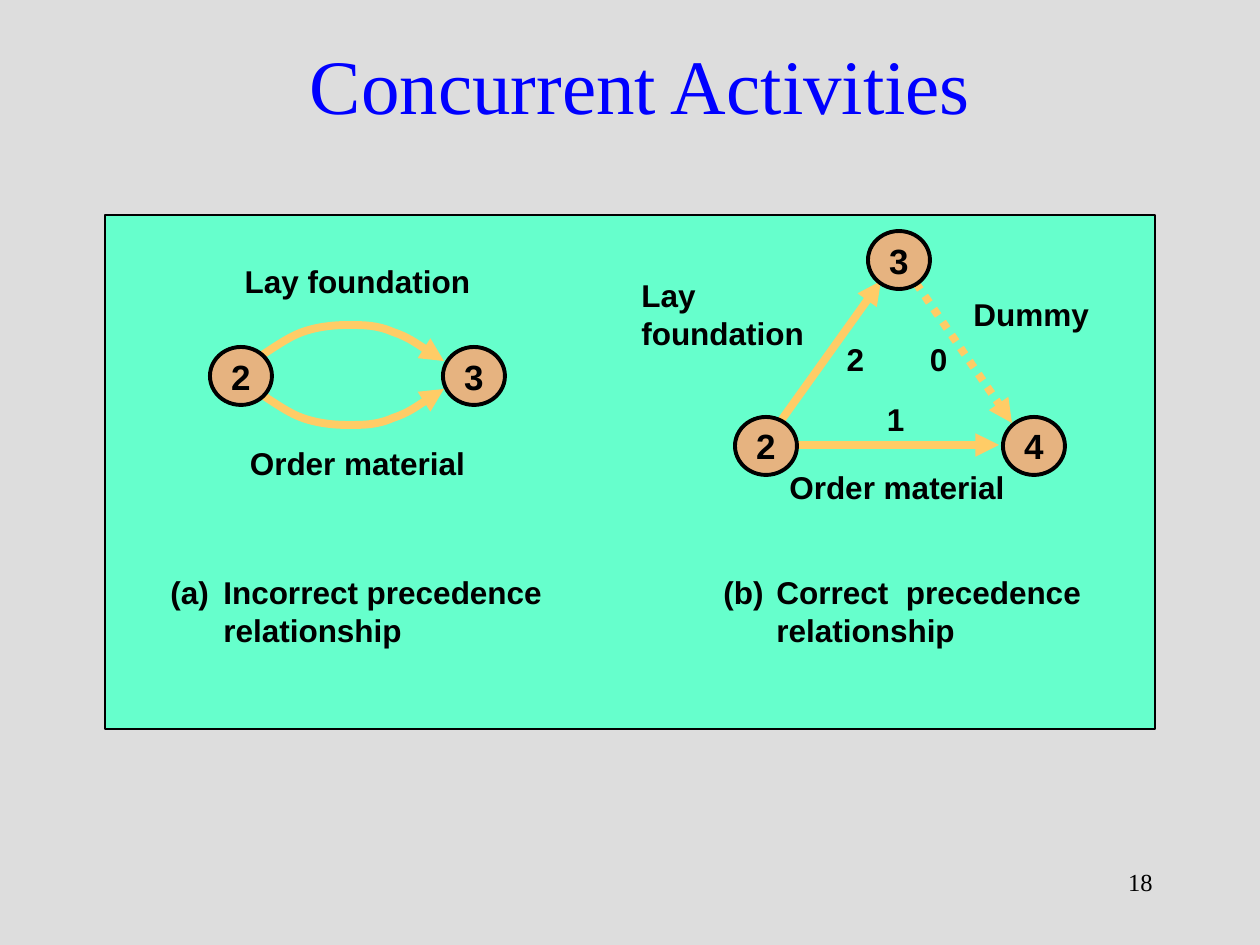
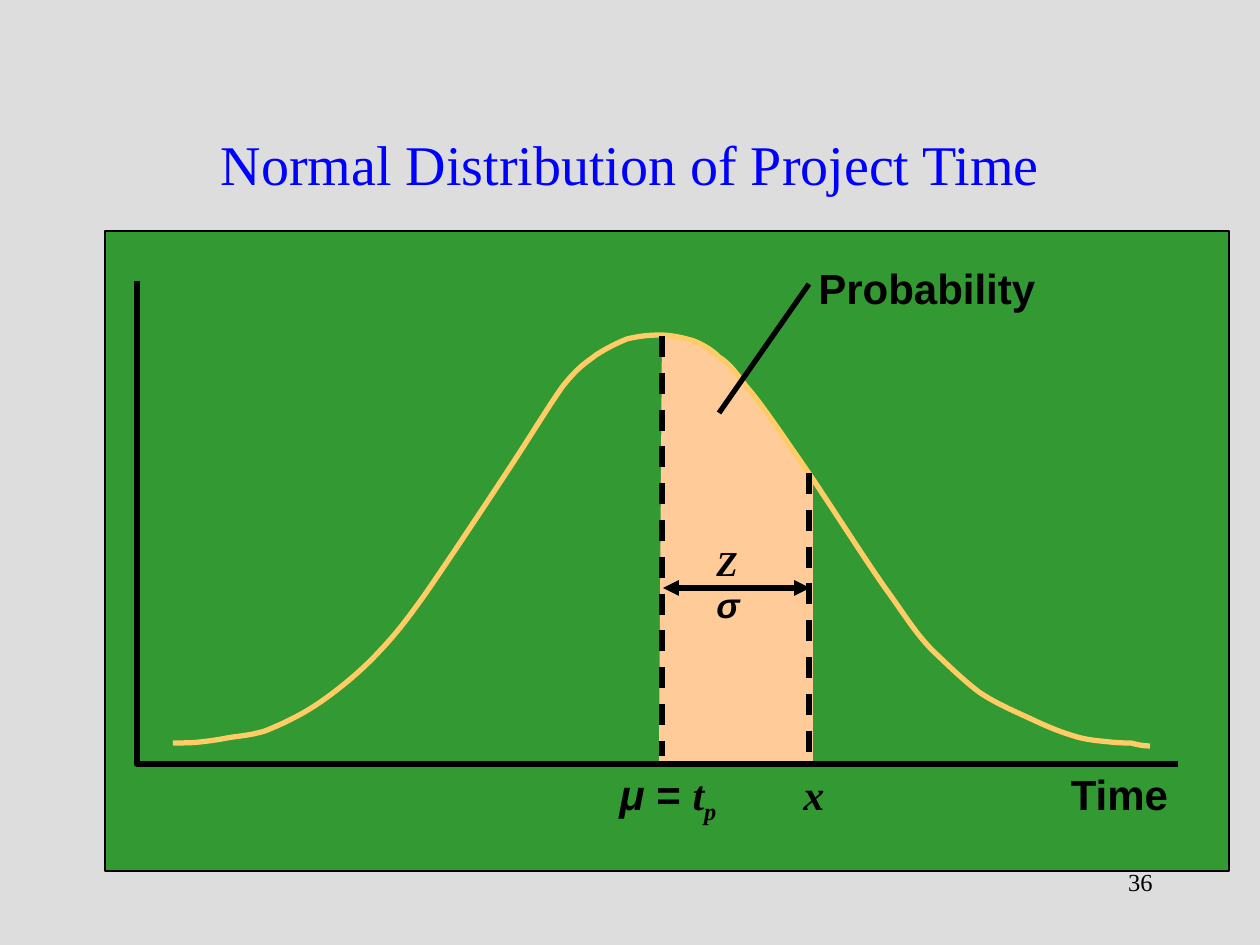
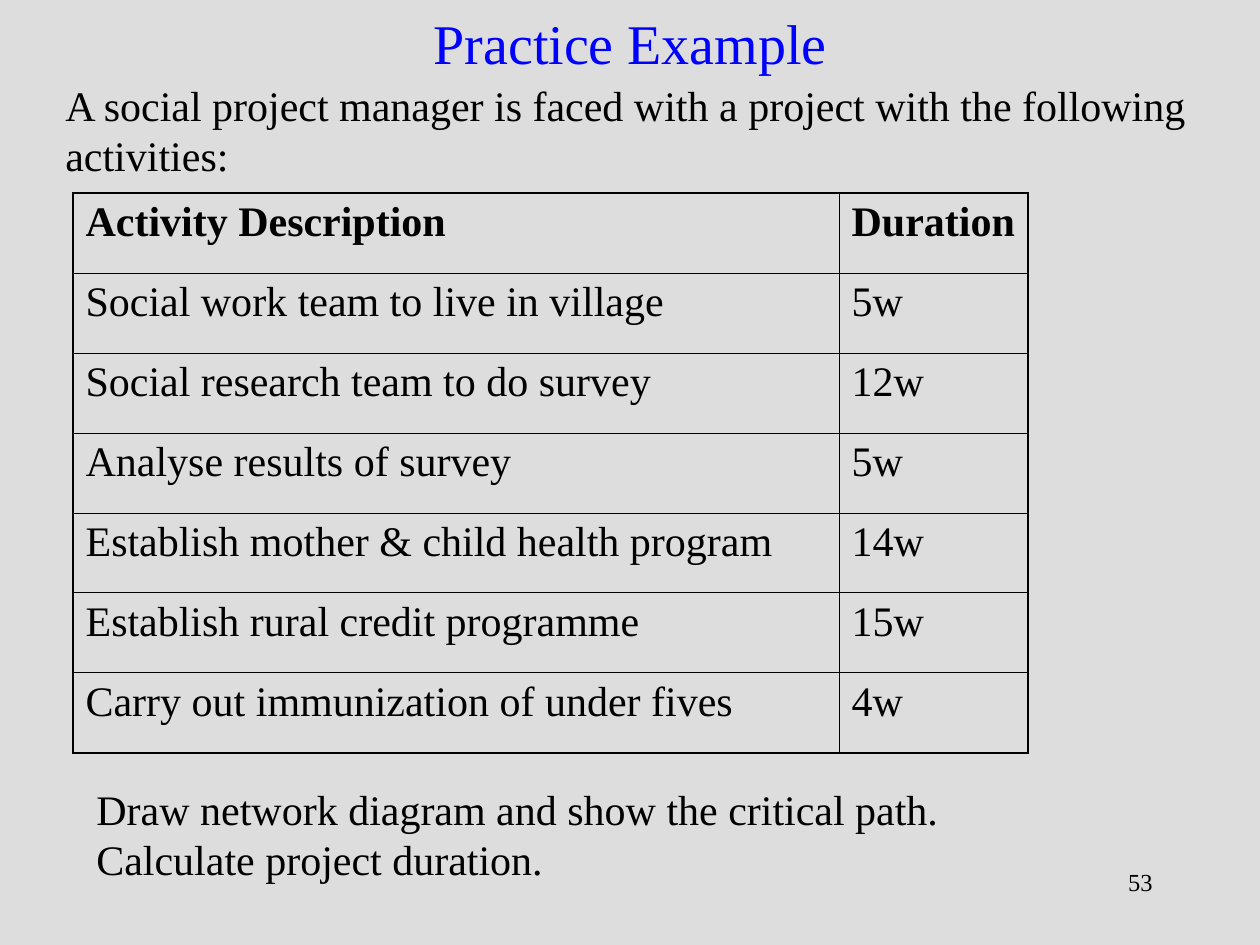
from lxml import etree
from pptx import Presentation
from pptx import util as u
from pptx.dml.color import RGBColor
from pptx.enum import dml, shapes, text
from pptx.oxml import ns

PX = 914400 / 126
BLACK = RGBColor(0x00, 0x00, 0x00)
GREY = RGBColor(0xDD, 0xDD, 0xDD)
BLUE = RGBColor(0x00, 0x00, 0xFF)
MINT = RGBColor(0x66, 0xFF, 0xCC)
GREEN = RGBColor(0x33, 0x99, 0x33)
AMBER = RGBColor(0xFF, 0xCC, 0x66)
PEACH = RGBColor(0xFF, 0xCC, 0x99)
TAN = RGBColor(0xE6, 0xB3, 0x80)
SANS, SERIF = "Arial", "Times New Roman"
LEFT, CENTER, RIGHT = text.PP_ALIGN.LEFT, text.PP_ALIGN.CENTER, text.PP_ALIGN.RIGHT
DOT, DASH = dml.MSO_LINE.ROUND_DOT, dml.MSO_LINE.DASH


def emu(*lengths):
    return [u.Emu(round(length * PX)) for length in lengths]


def write(para, words, size, font=SANS, bold=False, italic=False, color=BLACK):
    span = para.add_run()
    span.text = words
    span.font.size = u.Pt(size)
    span.font.name = font
    span.font.bold = bold
    span.font.italic = italic
    span.font.color.rgb = color
    return span


deck = Presentation()
deck.slide_width, deck.slide_height = emu(1260, 945)
deck.slide_master.background.fill.solid()
deck.slide_master.background.fill.fore_color.rgb = GREY

headings = [
    ("Concurrent Activities", 44, (63, 42, 1155, 84), "18"),
    ("Normal Distribution of Project Time", 32, (95, 84, 1071, 158), "36"),
    ("Practice Example", 32, (95, 0, 1071, 84), "53"),
]
pages = []
for words, size, bounds, number in headings:
    page = deck.slides.add_slide(deck.slide_layouts[5])
    title = page.shapes.title
    title.left, title.top, title.width, title.height = emu(*bounds)
    title.text_frame.auto_size = text.MSO_AUTO_SIZE.NONE
    title.text_frame.vertical_anchor = text.MSO_ANCHOR.MIDDLE
    para = title.text_frame.paragraphs[0]
    para.alignment = CENTER
    write(para, words, size, SERIF, color=BLUE)
    box = page.shapes.add_textbox(*emu(903, 861, 262, 63))
    box.text_frame.word_wrap = True
    para = box.text_frame.paragraphs[0]
    para.alignment = RIGHT
    write(para, number, 14, SERIF)
    pages.append(page)
concurrent, normal, practice = pages

for page, bounds, color in [
    (concurrent, (105, 215, 1050, 514), MINT),
    (normal, (105, 231, 1124, 640), GREEN),
]:
    panel = page.shapes.add_shape(shapes.MSO_SHAPE.RECTANGLE, *emu(*bounds))
    panel.shadow.inherit = False
    panel.fill.solid()
    panel.fill.fore_color.rgb = color
    panel.line.color.rgb = BLACK
    panel.line.width = u.Pt(0.75)

order_arc = [
    (252, 389), (261, 393), (284, 411), (300, 417), (315, 423), (333, 425), (348, 425),
    (364, 425), (377, 425), (393, 418), (408, 413), (433, 396), (444, 389),
]
foundation_arc = [(x, 750 - y) for x, y in order_arc]
probability_area = [
    (664, 764), (813, 764), (813, 481), (782, 433), (759, 399),
    (740, 375), (714, 352), (685, 338), (662, 334), (659, 764),
]
bell = [
    (173, 743), (181, 743), (192, 743), (200, 742), (209, 741), (217, 740), (227, 738),
    (238, 736), (248, 736), (265, 731), (280, 725), (300, 716), (319, 703),
    (338, 690), (359, 673), (377, 654), (394, 636), (404, 624), (426, 593),
    (446, 564), (480, 513), (503, 478), (527, 442), (548, 407), (563, 386),
    (580, 365), (586, 363), (596, 355), (607, 348), (617, 343), (627, 339),
    (639, 336), (650, 335), (660, 335), (672, 335), (684, 338), (694, 341),
    (703, 345), (711, 349), (719, 357), (728, 363), (732, 367), (746, 386),
    (761, 403), (781, 433), (806, 469), (830, 504), (869, 566), (891, 596),
    (912, 626), (917, 634), (932, 650), (948, 665), (963, 680), (979, 692),
    (995, 703), (1014, 711), (1029, 718), (1046, 726), (1060, 732), (1074, 736),
    (1086, 740), (1100, 741), (1110, 742), (1119, 743), (1124, 743), (1131, 743),
    (1138, 745), (1144, 746), (1150, 746),
]
axes = [(137, 281), (137, 764), (1178, 764)]
for page, points, curved, fill, color, weight, arrow in [
    (concurrent, order_arc, True, None, AMBER, 4.5, True),
    (concurrent, foundation_arc, True, None, AMBER, 4.5, True),
    (normal, probability_area, False, PEACH, None, 0, False),
    (normal, bell, True, None, AMBER, 3, False),
    (normal, axes, False, None, BLACK, 3, False),
]:
    builder = page.shapes.build_freeform(*points[0], scale=PX)
    builder.add_line_segments(points[1:], close=False)
    outline = builder.convert_to_shape()
    outline.shadow.inherit = False
    if fill is None:
        outline.fill.background()
    else:
        outline.fill.solid()
        outline.fill.fore_color.rgb = fill
    if color is None:
        outline.line.fill.background()
    else:
        outline.line.color.rgb = color
        outline.line.width = u.Pt(weight)
    if curved:
        steps = outline.element.findall(".//" + ns.qn("a:lnTo"))
        for start in range(0, len(steps), 3):
            curve = etree.SubElement(steps[start].getparent(), ns.qn("a:cubicBezTo"))
            for step in steps[start:start + 3]:
                step.getparent().remove(step)
                curve.append(step[0])
    if arrow:
        etree.SubElement(outline.line._get_or_add_ln(), ns.qn("a:tailEnd"), type="triangle")

for page, ends, color, weight, dash, arrows in [
    (concurrent, (770, 436, 881, 281), AMBER, 4.5, None, ["tailEnd"]),
    (concurrent, (907, 270, 1012, 423), AMBER, 4.5, DOT, ["tailEnd"]),
    (concurrent, (777, 445, 999, 445), AMBER, 4.5, None, ["tailEnd"]),
    (normal, (809, 473, 809, 760), BLACK, 3, DASH, []),
    (normal, (810, 588, 663, 588), BLACK, 3, None, ["headEnd", "tailEnd"]),
    (normal, (809, 284, 719, 413), BLACK, 3, None, []),
    (normal, (662, 336, 662, 756), BLACK, 3, DASH, []),
]:
    line = page.shapes.add_connector(shapes.MSO_CONNECTOR.STRAIGHT, *emu(*ends))
    line.line.color.rgb = color
    line.line.width = u.Pt(weight)
    if dash is not None:
        line.line.dash_style = dash
    for arrow in arrows:
        etree.SubElement(line.line._get_or_add_ln(), ns.qn("a:" + arrow), type="triangle")
    etree.SubElement(line.element.spPr, ns.qn("a:effectLst"))

for left, top, number in [
    (210, 347, "2"), (443, 347, "3"),
    (868, 231, "3"), (1003, 417, "4"), (735, 417, "2"),
]:
    node = concurrent.shapes.add_shape(shapes.MSO_SHAPE.OVAL, *emu(left, top, 62, 58))
    node.shadow.inherit = False
    node.fill.solid()
    node.fill.fore_color.rgb = TAN
    node.line.color.rgb = BLACK
    node.line.width = u.Pt(2.25)
    node.text_frame.word_wrap = False
    node.text_frame.vertical_anchor = text.MSO_ANCHOR.MIDDLE
    para = node.text_frame.paragraphs[0]
    para.alignment = CENTER
    write(para, number, 20, bold=True)

for bounds, align, wrap, hanging, lines in [
    ((232, 256, 251, 50), CENTER, False, 0, ["Lay foundation"]),
    ((237, 438, 241, 50), CENTER, False, 0, ["Order material"]),
    ((158, 567, 401, 88), LEFT, True, 53, ["(a)\tIncorrect precedence relationship"]),
    ((711, 567, 384, 88), LEFT, True, 53, ["(b)\tCorrect  precedence relationship"]),
    ((961, 289, 141, 50), LEFT, False, 0, ["Dummy"]),
    ((629, 270, 188, 88), LEFT, False, 0, ["Lay", "foundation"]),
    ((777, 462, 241, 50), LEFT, False, 0, ["Order material"]),
    ((874, 394, 43, 50), CENTER, False, 0, ["1"]),
    ((834, 334, 43, 50), CENTER, False, 0, ["2"]),
    ((917, 334, 43, 50), CENTER, False, 0, ["0"]),
]:
    box = concurrent.shapes.add_textbox(*emu(*bounds))
    frame = box.text_frame
    frame.word_wrap = wrap
    for index, words in enumerate(lines):
        para = frame.add_paragraph() if index else frame.paragraphs[0]
        para.alignment = align
        if hanging:
            indent = emu(hanging)[0]
            para._p.get_or_add_pPr().set("marL", str(indent))
            para._p.get_or_add_pPr().set("indent", str(-indent))
        write(para, words, 18, bold=True)

for bounds, align, wrap, size, spans in [
    ((607, 762, 149, 69), LEFT, True, 24, [
        ("μ", SANS, True, 0), (" = ", SANS, False, 0),
        ("t", SERIF, True, 0), ("p", SERIF, True, -25000),
    ]),
    ((1034, 762, 171, 63), CENTER, True, 24, [("Time", SANS, False, 0)]),
    ((791, 762, 45, 63), LEFT, False, 24, [("x", SERIF, True, 0)]),
    ((704, 535, 60, 54), LEFT, True, 20, [("Z", SERIF, True, 0), ("σ", SANS, True, 0)]),
    ((806, 256, 242, 63), LEFT, False, 24, [("Probability", SANS, False, 0)]),
]:
    box = normal.shapes.add_textbox(*emu(*bounds))
    box.text_frame.word_wrap = wrap
    para = box.text_frame.paragraphs[0]
    para.alignment = align
    for words, font, italic, baseline in spans:
        span = write(para, words, size, font, True, italic)
        if baseline:
            span.font._element.set("baseline", str(baseline))

for bounds, words in [
    ((53, 73, 1155, 113),
     "A social project manager is faced with a project with the following activities:"),
    ((84, 777, 1029, 113),
     "Draw network diagram and show the critical path. Calculate project duration."),
]:
    box = practice.shapes.add_textbox(*emu(*bounds))
    box.text_frame.word_wrap = True
    write(box.text_frame.paragraphs[0], words, 24, SERIF)

activities = [
    ("Activity Description", "Duration"),
    ("Social work team to live in village", "5w"),
    ("Social research team to do survey", "12w"),
    ("Analyse results of survey", "5w"),
    ("Establish mother & child health program", "14w"),
    ("Establish rural credit programme", "15w"),
    ("Carry out immunization of under fives", "4w"),
]
last = len(activities) - 1
table = practice.shapes.add_table(len(activities), 2, *emu(73, 193, 955, 560)).table
table.first_row = False
table.horz_banding = False
table.columns[0].width, table.columns[1].width = emu(766, 189)
for row, activity in enumerate(activities):
    table.rows[row].height = emu(80)[0]
    for column, words in enumerate(activity):
        cell = table.cell(row, column)
        cell.fill.background()
        write(cell.text_frame.paragraphs[0], words, 24, SERIF, bold=row == 0)
        outer_sides = [column == 0, column == 1, row == 0, row == last]
        for index, (side, outer) in enumerate(zip("LRTB", outer_sides)):
            border = etree.Element(ns.qn("a:ln" + side), w=str(u.Pt(1.08 if outer else 0.45)))
            paint = etree.SubElement(border, ns.qn("a:solidFill"))
            etree.SubElement(paint, ns.qn("a:srgbClr"), val=str(BLACK))
            cell._tc.get_or_add_tcPr().insert(index, border)

deck.save("out.pptx")
